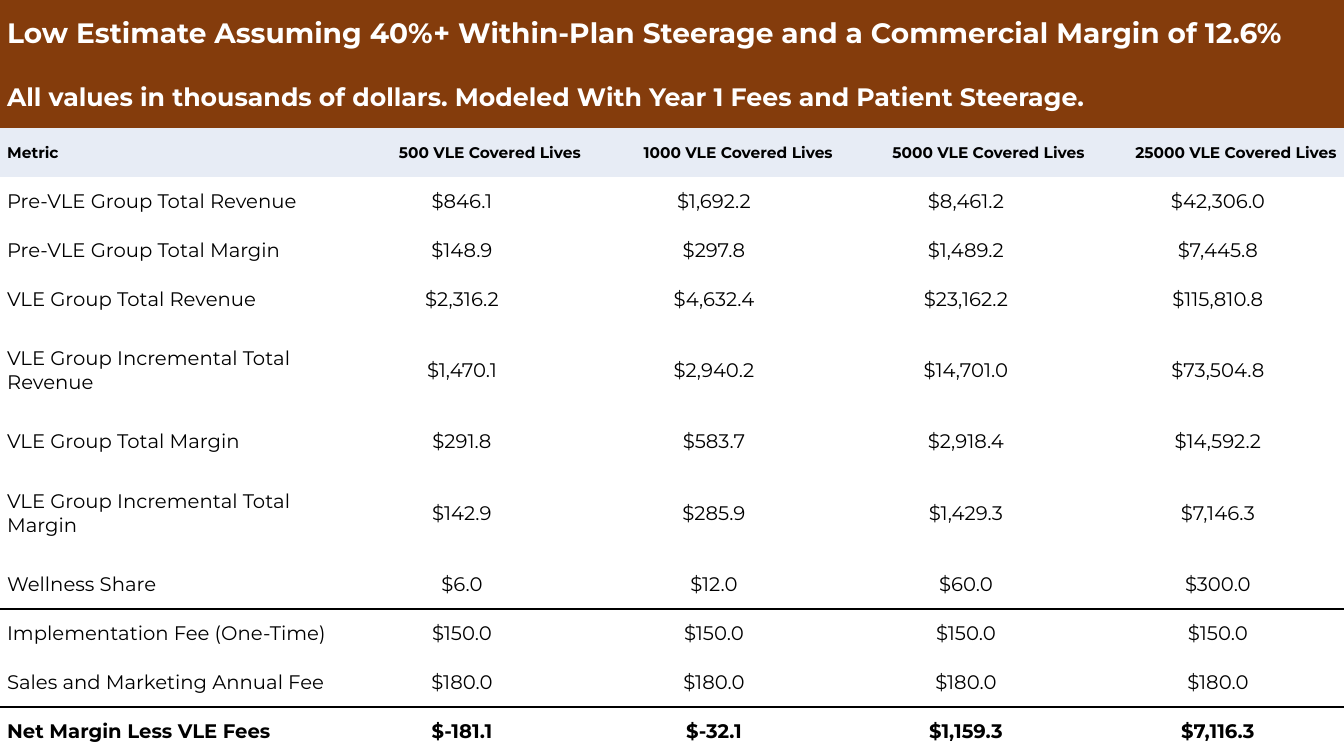
from lxml import etree
from pptx import Presentation, util as u
from pptx.dml import color
from pptx.enum import text
from pptx.oxml import ns

HEADS = [
    ("Low Estimate Assuming 40%+ Within-Plan Steerage and a Commercial Margin of 12.6%",),
    ("All values in thousands of dollars. Modeled With Year 1 Fees and Patient Steerage.",),
]
LIVES = [("Metric",) + tuple(f"{n} VLE Covered Lives" for n in (500, 1000, 5000, 25000))]
BODY = [
    ("Pre-VLE Group Total Revenue", "$846.1", "$1,692.2", "$8,461.2", "$42,306.0"),
    ("Pre-VLE Group Total Margin", "$148.9", "$297.8", "$1,489.2", "$7,445.8"),
    ("VLE Group Total Revenue", "$2,316.2", "$4,632.4", "$23,162.2", "$115,810.8"),
    ("VLE Group Incremental Total Revenue", "$1,470.1", "$2,940.2", "$14,701.0", "$73,504.8"),
    ("VLE Group Total Margin", "$291.8", "$583.7", "$2,918.4", "$14,592.2"),
    ("VLE Group Incremental Total Margin", "$142.9", "$285.9", "$1,429.3", "$7,146.3"),
    ("Wellness Share", "$6.0", "$12.0", "$60.0", "$300.0"),
    ("Implementation Fee (One-Time)",) + ("$150.0",) * 4,
    ("Sales and Marketing Annual Fee",) + ("$180.0",) * 4,
]
NET = [("Net Margin Less VLE Fees", "$-181.1", "$-32.1", "$1,159.3", "$7,116.3")]
ROWS = HEADS + LIVES + BODY + NET

HEX = {"brown": "843C0C", "pale": "E7ECF5", "ink": "000000", "white": "FFFFFF"}
LEFT, MID, RIGHT = text.PP_ALIGN.LEFT, text.PP_ALIGN.CENTER, text.PP_ALIGN.RIGHT
STYLES = (
    [dict(size=s, bold=True, ink="white", fill="brown", align=LEFT) for s in (20, 18)]
    + [dict(size=11, bold=True, ink="ink", fill="pale", align=RIGHT)]
    + [dict(size=14, bold=False, ink="ink", fill=None, align=MID)] * len(BODY)
    + [dict(size=14, bold=True, ink="ink", fill=None, align=MID)]
)
WIDE, HIGH = 13.33, 7.5
COLS = [WIDE / 4] + [WIDE * 3 / 16] * 4
TALL = {0: 0.67, 1: 0.6, 6: 0.93, 8: 0.93}
REST = (HIGH - sum(TALL.values())) / (len(ROWS) - len(TALL))
RULES = (9, 11)
PAD = 0.07
PLAIN = "{2D5ABB26-0587-4C30-8999-92F81FD0307C}"


def edge(cell, r):
    drawn = {"lnL": False, "lnR": False, "lnT": r - 1 in RULES, "lnB": r in RULES}
    for i, (side, shown) in enumerate(drawn.items()):
        line = etree.Element(ns.qn(f"a:{side}"), w=str(u.Pt(1)))
        if shown:
            fill = etree.SubElement(line, ns.qn("a:solidFill"))
            etree.SubElement(fill, ns.qn("a:srgbClr"), val=HEX["ink"])
        else:
            etree.SubElement(line, ns.qn("a:noFill"))
        cell._tc.get_or_add_tcPr().insert(i, line)


def write(cell, words, style, align):
    for side in ("left", "right", "top", "bottom"):
        setattr(cell, f"margin_{side}", 0)
    cell.vertical_anchor = text.MSO_ANCHOR.MIDDLE
    if style["fill"]:
        cell.fill.solid()
        cell.fill.fore_color.rgb = color.RGBColor.from_string(HEX[style["fill"]])
    else:
        cell.fill.background()
    para = cell.text_frame.paragraphs[0]
    para.alignment = align
    for side in ("marL", "marR"):
        para._p.get_or_add_pPr().set(side, str(u.Inches(PAD)))
    run = para.add_run()
    run.text = words
    look = {"name": "Montserrat", "size": u.Pt(style["size"]), "bold": style["bold"]}
    for key, val in look.items():
        setattr(run.font, key, val)
    run.font.color.rgb = color.RGBColor.from_string(HEX[style["ink"]])


def main():
    deck = Presentation()
    deck.slide_width, deck.slide_height = u.Inches(WIDE), u.Inches(HIGH)
    slide = deck.slides.add_slide(deck.slide_layouts[6])
    table = slide.shapes.add_table(
        len(ROWS), len(COLS), 0, 0, deck.slide_width, deck.slide_height
    ).table
    table.first_row = table.horz_banding = False
    table._tbl.tblPr.find(ns.qn("a:tableStyleId")).text = PLAIN
    for col, width in zip(table.columns, COLS):
        col.width = u.Inches(width)
    for r, (row, style) in enumerate(zip(ROWS, STYLES)):
        table.rows[r].height = u.Inches(TALL.get(r, REST))
        if len(row) == 1:
            table.cell(r, 0).merge(table.cell(r, len(COLS) - 1))
        for c, words in enumerate(row):
            cell = table.cell(r, c)
            write(cell, words, style, style["align"] if c else LEFT)
            edge(cell, r)
    deck.save("out.pptx")


if __name__ == "__main__":
    main()
